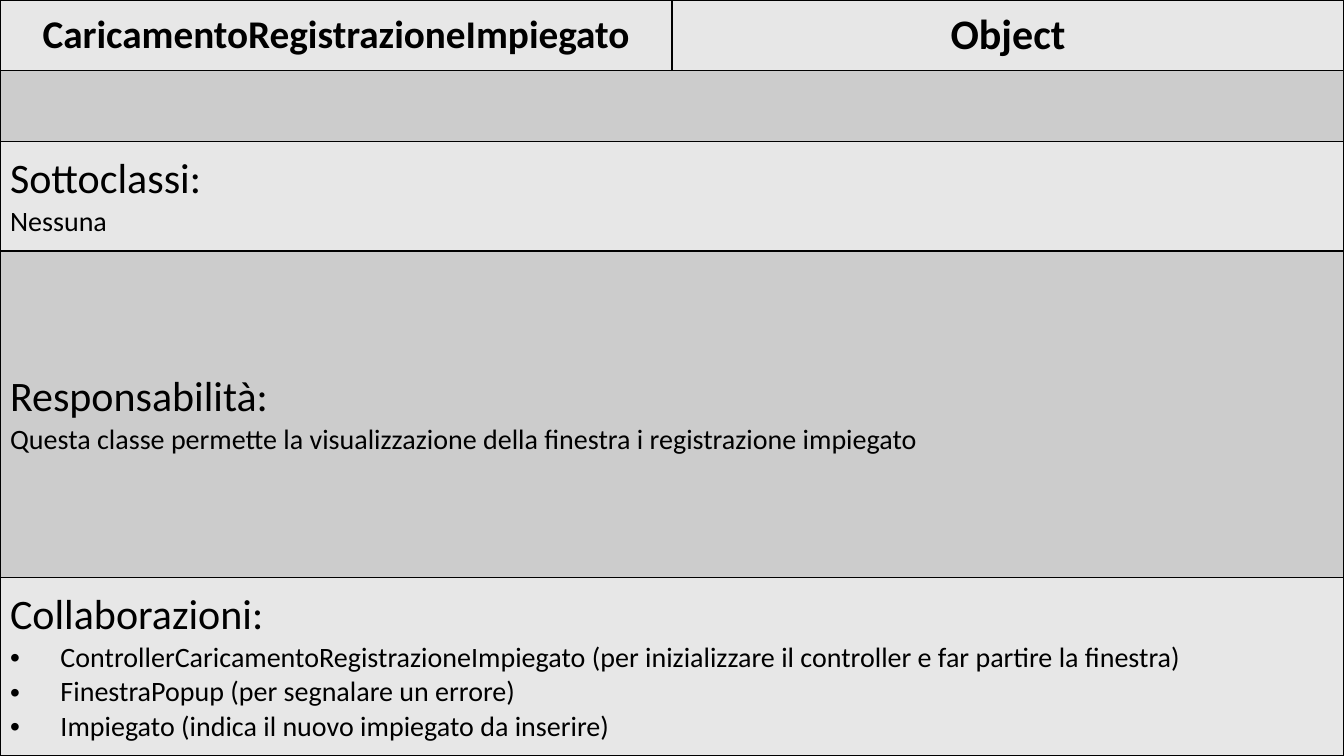
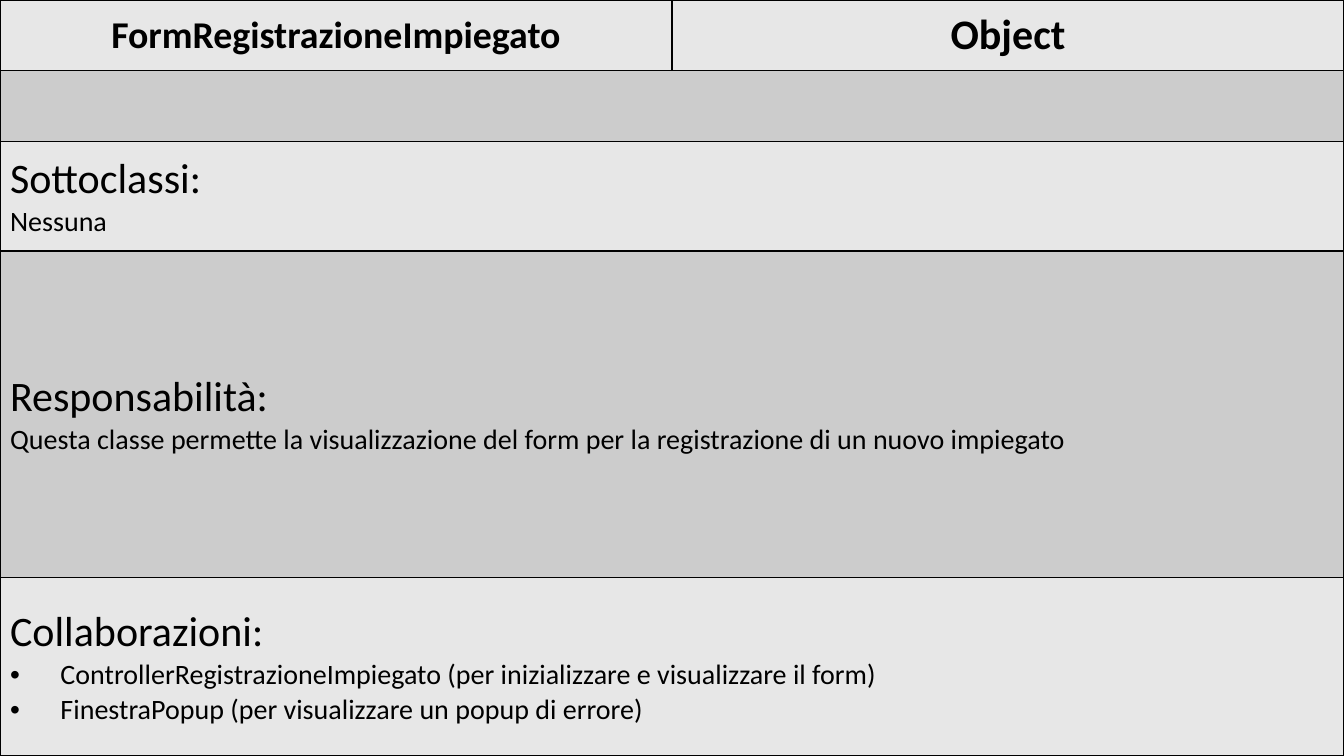
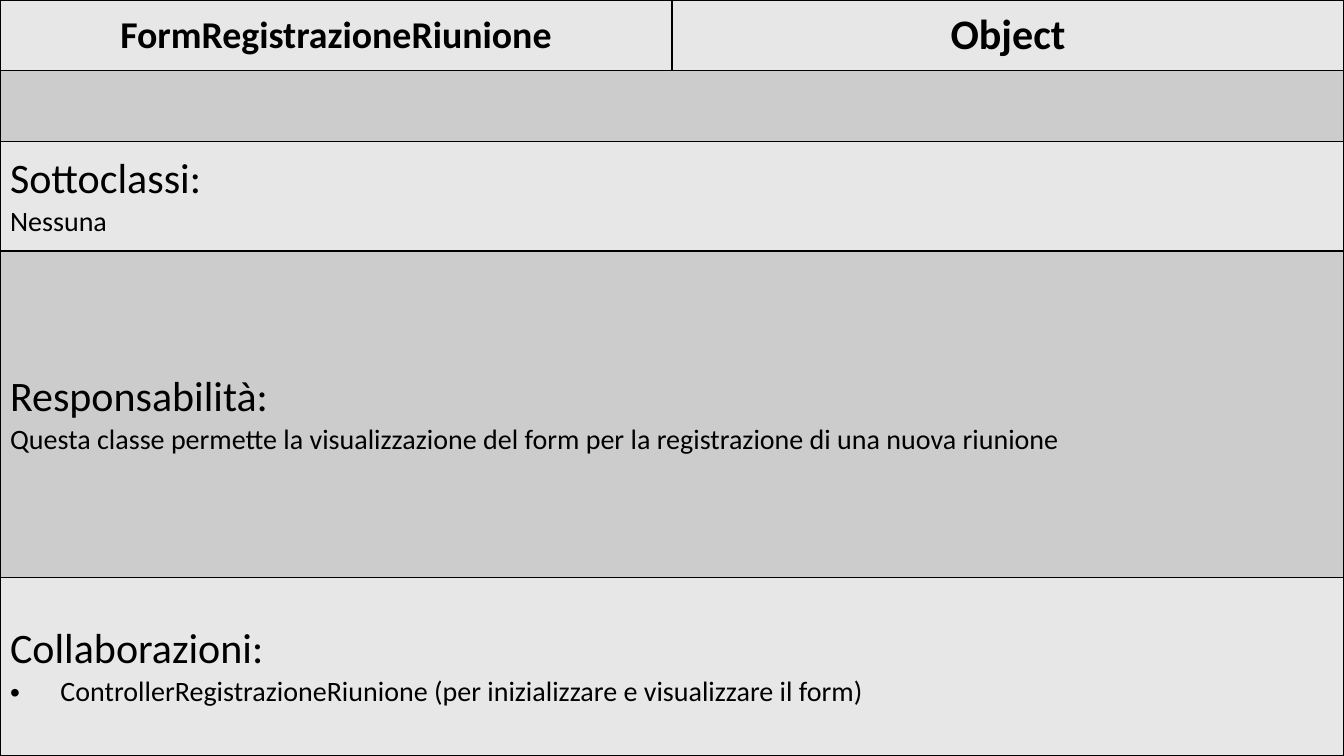
from lxml import etree
from pptx import Presentation
from pptx import util as u
from pptx.dml.color import RGBColor
from pptx.enum import text
from pptx.oxml import ns

COLORS = {"ink": "000000", "light": "E7E7E7", "dark": "CCCCCC"}
FONT = "Calibri"
HEADING, BODY = 30, 20
SLIDE_W, SLIDE_H = 13.33, 7.5
ROWS = [0.7, 0.7, 1.09, 3.24, 1.77]
NO_STYLE = "{2D5ABB26-0587-4C30-8999-92F81FD0307C}"
ALIGN = text.PP_ALIGN

CARDS = [
    {
        "name": "CaricamentoRegistrazioneImpiegato",
        "size": 28,
        "duty": "Questa classe permette la visualizzazione della finestra i registrazione impiegato",
        "partners": [
            "ControllerCaricamentoRegistrazioneImpiegato (per inizializzare il controller e far partire la finestra)",
            "FinestraPopup (per segnalare un errore)",
            "Impiegato (indica il nuovo impiegato da inserire)",
        ],
    },
    {
        "name": "FormRegistrazioneImpiegato",
        "size": 27,
        "duty": "Questa classe permette la visualizzazione del form per la registrazione di un nuovo impiegato",
        "partners": [
            "ControllerRegistrazioneImpiegato (per inizializzare e visualizzare il form)",
            "FinestraPopup (per visualizzare un popup di errore)",
        ],
    },
    {
        "name": "FormRegistrazioneRiunione",
        "size": 27,
        "duty": "Questa classe permette la visualizzazione del form per la registrazione di una nuova riunione",
        "partners": [
            "ControllerRegistrazioneRiunione (per inizializzare e visualizzare il form)",
        ],
    },
]


def style_cell(cell, color, sides):
    cell.vertical_anchor = text.MSO_ANCHOR.MIDDLE
    cell.fill.solid()
    cell.fill.fore_color.rgb = RGBColor.from_string(COLORS[color])
    props = cell._tc.get_or_add_tcPr()
    for index, side in enumerate(sides):
        line = etree.Element(ns.qn(f"a:ln{side}"), w=str(u.Pt(1)))
        fill = etree.SubElement(line, ns.qn("a:solidFill"))
        etree.SubElement(fill, ns.qn("a:srgbClr"), val=COLORS["ink"])
        props.insert(index, line)


def add_bullet(para):
    props = para._p.get_or_add_pPr()
    props.set("marL", str(u.Inches(0.5)))
    props.set("indent", str(-u.Inches(0.5)))
    etree.SubElement(props, ns.qn("a:buFont"), typeface="Arial")
    etree.SubElement(props, ns.qn("a:buChar"), char="•")


def write(para, words, size, align, bold=False):
    para.text = words
    para.alignment = align
    para.font.name = FONT
    para.font.size = u.Pt(size)
    para.font.bold = bold
    para.font.color.rgb = RGBColor.from_string(COLORS["ink"])


def write_section(cell, heading, lines, align=ALIGN.LEFT, bullets=False):
    frame = cell.text_frame
    write(frame.paragraphs[0], heading, HEADING, align)
    for words in lines:
        para = frame.add_paragraph()
        if bullets:
            add_bullet(para)
        write(para, words, BODY, align)


def add_card(page, card, left, top, width, height):
    frame = page.shapes.add_table(len(ROWS), 2, *map(u.Inches, (left, top, width, height)))
    table = frame.table
    table.first_row = table.horz_banding = False
    table._tbl.tblPr.find(ns.qn("a:tableStyleId")).text = NO_STYLE
    for column in table.columns:
        column.width = u.Inches(width / 2)
    for index, share in enumerate(ROWS):
        table.rows[index].height = u.Inches(height * share / sum(ROWS))
        first, last = table.cell(index, 0), table.cell(index, 1)
        color = "dark" if index % 2 else "light"
        style_cell(first, color, "LTB" if index == 1 else "LRTB")
        style_cell(last, color, "LRTB" if index == 0 else "RTB")
        if index > 1:
            first.merge(last)

    titles = [(card["name"], card["size"]), ("Object", HEADING)]
    for column, (words, size) in enumerate(titles):
        para = table.cell(0, column).text_frame.paragraphs[0]
        write(para, words, size, ALIGN.CENTER, bold=True)
    write_section(table.cell(2, 0), "Sottoclassi:", ["Nessuna"])
    write_section(table.cell(3, 0), "Responsabilità:", [card["duty"]], ALIGN.JUSTIFY)
    write_section(table.cell(4, 0), "Collaborazioni:", card["partners"], bullets=True)


def main():
    deck = Presentation()
    deck.slide_width, deck.slide_height = u.Inches(SLIDE_W), u.Inches(SLIDE_H)
    for card in CARDS:
        page = deck.slides.add_slide(deck.slide_layouts[6])
        add_card(page, card, 0, 0, SLIDE_W, SLIDE_H)
    deck.save("out.pptx")


if __name__ == "__main__":
    main()
